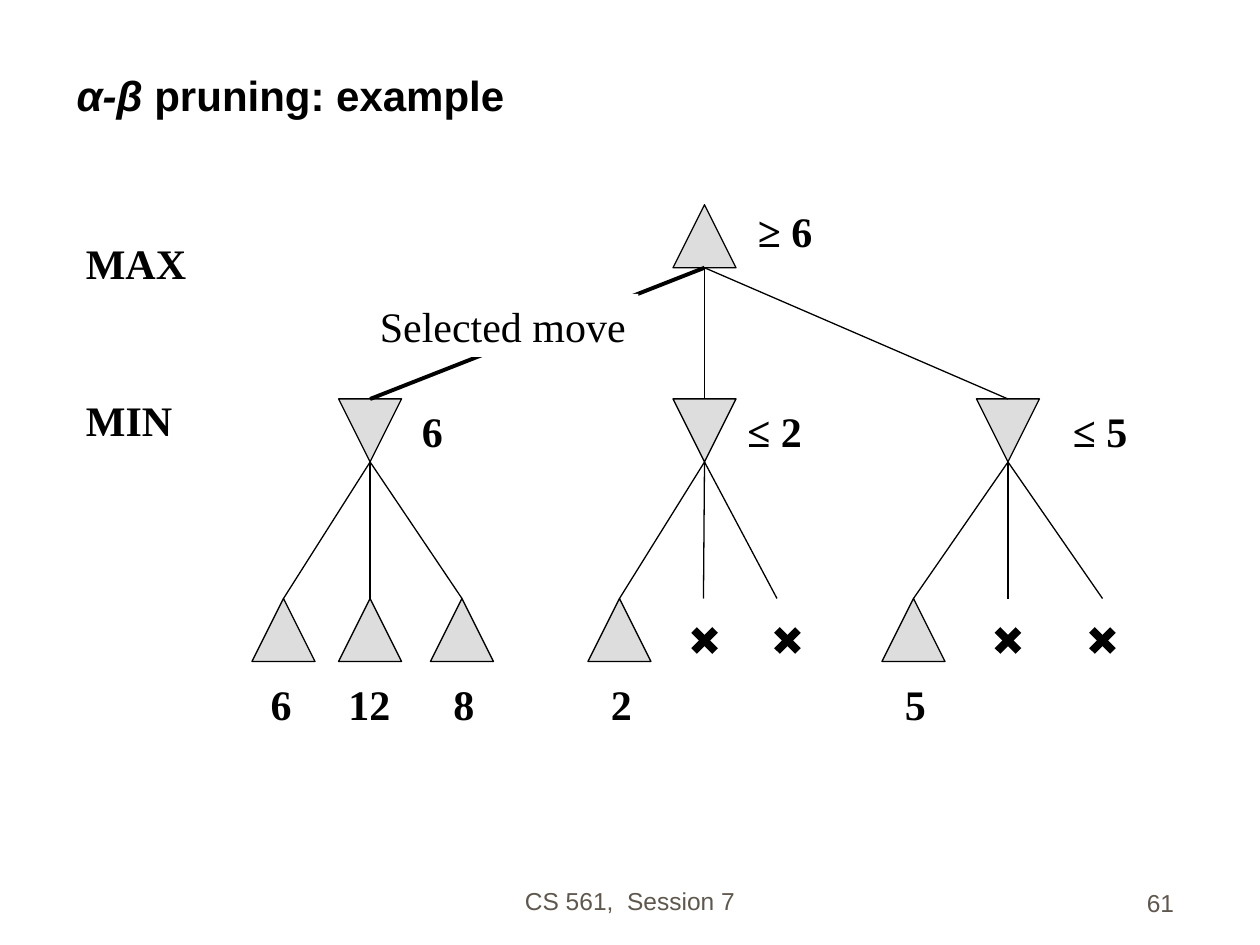
from dataclasses import dataclass

import pptx
import pptx.dml.color
import pptx.enum.shapes
import pptx.enum.text
import pptx.oxml
import pptx.oxml.ns
import pptx.util

ALIGN = pptx.enum.text.PP_ALIGN
ANCHOR = pptx.enum.text.MSO_ANCHOR


@dataclass(frozen=True)
class Theme:
    black: str = "000000"
    white: str = "FFFFFF"
    node: str = "DDDDDD"
    footer: str = "5E574E"
    heading_font: str = "Arial"
    label_font: str = "Times New Roman"
    large: int = 24
    small: int = 14
    thin: float = 0.75
    selected: float = 2.25
    cross: float = 4.5


@dataclass(frozen=True)
class Leaf:
    """A leaf with a value, or a pruned one when the value is empty."""
    col: float
    value: str = ""
    value_col: float = 0
    cross_col: float = 0


@dataclass(frozen=True)
class MinNode:
    col: float
    label: str
    label_col: float
    leaves: tuple[Leaf, ...]
    selected: bool = False


@dataclass(frozen=True)
class Label:
    text: str
    col: float
    row: float
    cols: float


THEME = Theme()

# Grid of 120 columns by 90 rows; a node fills 6 by 6 cells
COLS, ROWS, NODE = 120, 90, 6
ROOT_COL, ROOT_ROW, MIN_ROW, LEAF_ROW, VALUE_ROW = 67.1, 19.5, 38, 57, 64
CROSS_ROW, CROSS_SIZE = 60, 2

TREE = (
    MinNode(35.25, "6", 39, (Leaf(27, "6", 24.6), Leaf(35.25, "12", 32),
                             Leaf(44, "8", 42)), selected=True),
    MinNode(ROOT_COL, "≤ 2", 70, (Leaf(59, "2", 57), Leaf(67, cross_col=67.1),
                                  Leaf(74, cross_col=75))),
    MinNode(96, "≤ 5", 101, (Leaf(87, "5", 85), Leaf(96, cross_col=96),
                             Leaf(105, cross_col=105))),
)
LABELS = (
    Label("MAX", 7, 22, 12),
    Label("MIN", 7, 37, 10.7),
    Label("≥ 6", 71, 19, 7.6),
)

prs = pptx.Presentation()
prs.slide_width = pptx.util.Inches(10)
prs.slide_height = pptx.util.Inches(7.5)


def x(cols: float) -> int:
    return round(prs.slide_width * cols / COLS)


def y(rows: float) -> int:
    return round(prs.slide_height * rows / ROWS)


def rgb(value: str) -> pptx.dml.color.RGBColor:
    return pptx.dml.color.RGBColor.from_string(value)


def format_run(r, font: str, size: int, color: str, bold: bool = False) -> None:
    r.font.name = font
    r.font.size = pptx.util.Pt(size)
    r.font.bold = bold
    r.font.color.rgb = rgb(color)


def add_text(slide, label: Label, bold: bool = True):
    sp = slide.shapes.add_textbox(x(label.col), y(label.row), x(label.cols), y(NODE))
    tf = sp.text_frame
    tf.word_wrap = False
    tf.auto_size = pptx.enum.text.MSO_AUTO_SIZE.SHAPE_TO_FIT_TEXT
    tf.text = label.text
    format_run(tf.paragraphs[0].runs[0], THEME.label_font, THEME.large, THEME.black, bold)
    return sp


def add_footer(slide, label: Label, align) -> None:
    sp = slide.shapes.add_textbox(x(label.col), y(label.row), x(label.cols), y(NODE))
    tf = sp.text_frame
    tf.word_wrap = True
    tf.vertical_anchor = ANCHOR.BOTTOM
    tf.text = label.text
    p = tf.paragraphs[0]
    p.alignment = align
    format_run(p.runs[0], THEME.heading_font, THEME.small, THEME.footer)


def add_node(slide, col: float, row: float, flipped: bool = False) -> None:
    """Triangle centred on a column; MIN nodes point down."""
    sp = slide.shapes.add_shape(pptx.enum.shapes.MSO_SHAPE.ISOSCELES_TRIANGLE,
                                x(col - NODE / 2), y(row), x(NODE), y(NODE))
    sp.shadow.inherit = False
    sp.fill.solid()
    sp.fill.fore_color.rgb = rgb(THEME.node)
    sp.line.color.rgb = rgb(THEME.black)
    sp.line.width = pptx.util.Pt(THEME.thin)
    if flipped:
        sp.element.spPr.find(pptx.oxml.ns.qn("a:xfrm")).set("flipV", "1")


def add_line(shapes, start: tuple[float, float], end: tuple[float, float],
             width: float) -> None:
    line = shapes.add_connector(pptx.enum.shapes.MSO_CONNECTOR.STRAIGHT,
                                x(start[0]), y(start[1]), x(end[0]), y(end[1]))
    line.line.color.rgb = rgb(THEME.black)
    line.line.width = pptx.util.Pt(width)
    effects = pptx.oxml.parse_xml(f'<a:effectLst {pptx.oxml.ns.nsdecls("a")}/>')
    line.element.spPr.append(effects)


def add_cross(slide, col: float) -> None:
    group = slide.shapes.add_group_shape()
    left, right = col - CROSS_SIZE / 2, col + CROSS_SIZE / 2
    top, bottom = CROSS_ROW, CROSS_ROW + CROSS_SIZE
    add_line(group.shapes, (left, top), (right, bottom), THEME.cross)
    add_line(group.shapes, (left, bottom), (right, top), THEME.cross)


def add_branch(slide, node: MinNode) -> None:
    """MIN node with its edges, leaves and values."""
    add_node(slide, node.col, MIN_ROW, flipped=True)
    add_line(slide.shapes, (ROOT_COL, ROOT_ROW + NODE), (node.col, MIN_ROW),
             THEME.selected if node.selected else THEME.thin)
    add_text(slide, Label(node.label, node.label_col, MIN_ROW, 2 + 2 * len(node.label)))
    for leaf in node.leaves:
        add_line(slide.shapes, (node.col, MIN_ROW + NODE), (leaf.col, LEAF_ROW), THEME.thin)
        if leaf.value:
            add_node(slide, leaf.col, LEAF_ROW)
            add_text(slide, Label(leaf.value, leaf.value_col, VALUE_ROW,
                                  2.4 + 2 * len(leaf.value)))
        else:
            add_cross(slide, leaf.cross_col)


def main() -> None:
    slide = prs.slides.add_slide(prs.slide_layouts[5])

    # Title
    title = slide.shapes.title
    title.left, title.top, title.width, title.height = x(6.1), y(3), x(107), y(9)
    tf = title.text_frame
    tf.vertical_anchor = ANCHOR.BOTTOM
    tf.auto_size = pptx.enum.text.MSO_AUTO_SIZE.NONE
    p = tf.paragraphs[0]
    p.alignment = ALIGN.LEFT
    for text, italic in (("α-β", True), (" pruning: example", False)):
        r = p.add_run()
        r.text = text
        format_run(r, THEME.heading_font, THEME.large, THEME.black, bold=True)
        r.font.italic = italic

    # Game tree
    add_node(slide, ROOT_COL, ROOT_ROW)
    for node in TREE:
        add_branch(slide, node)
    for label in LABELS:
        add_text(slide, label)

    # Caption covering part of the selected edge
    caption = add_text(slide, Label("Selected move", 35, 28, 25.8), bold=False)
    caption.fill.solid()
    caption.fill.fore_color.rgb = rgb(THEME.white)

    # Footer
    add_footer(slide, Label("CS 561,  Session 7", 41, 81.75, 38), ALIGN.CENTER)
    add_footer(slide, Label("61", 88, 82, 25), ALIGN.RIGHT)

    prs.save("out.pptx")


if __name__ == "__main__":
    main()
